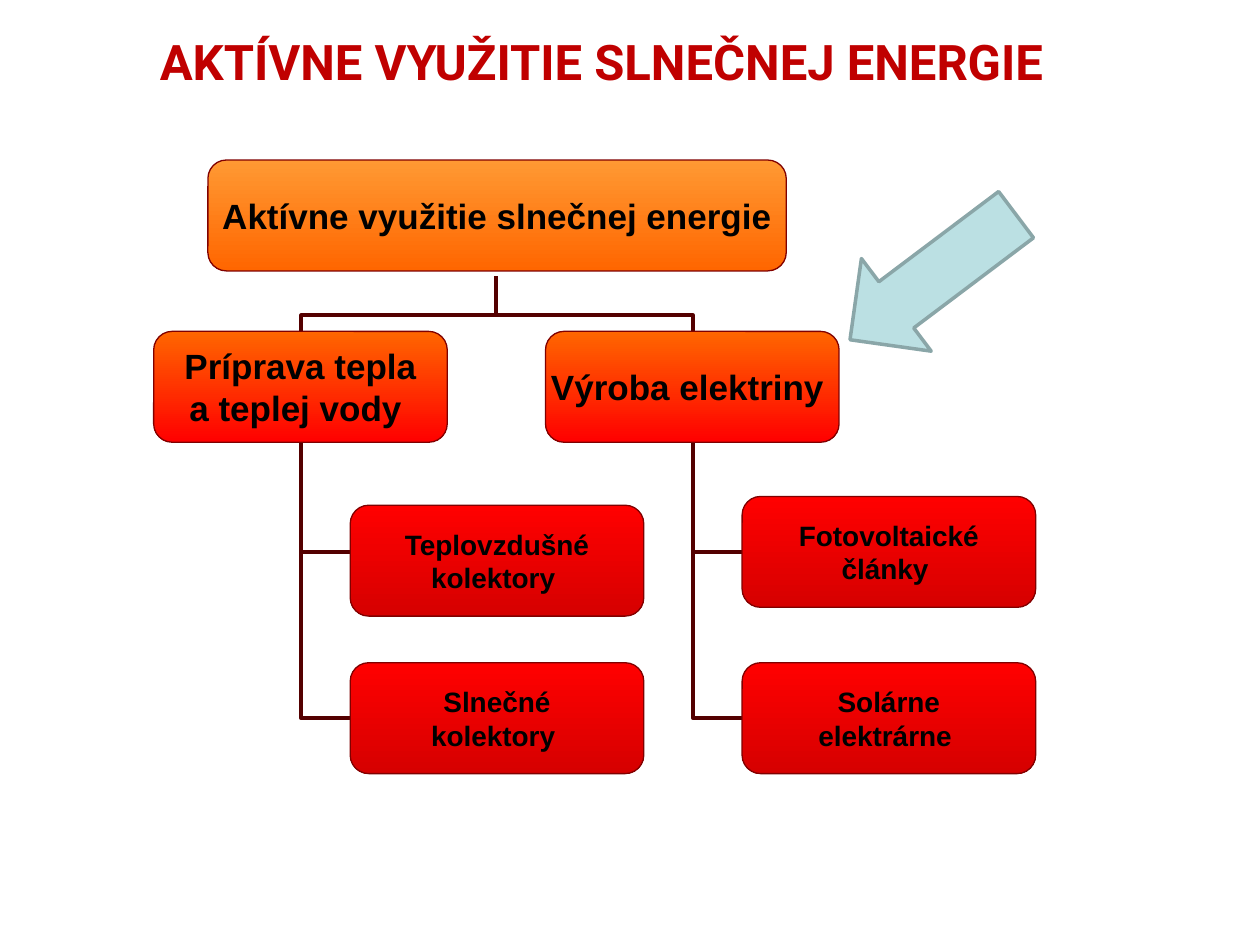
from dataclasses import dataclass

from lxml.etree import SubElement
from pptx import Presentation
from pptx.dml.color import RGBColor
from pptx.enum.shapes import MSO_CONNECTOR, MSO_SHAPE
from pptx.enum.text import MSO_ANCHOR, MSO_AUTO_SIZE, PP_ALIGN
from pptx.oxml.ns import qn
from pptx.util import Inches, Pt

COLORS = {
    "title": "C00000", "text": "000000", "border": "800000", "link": "540000",
    "amber": "FF9933", "orange": "FF6600", "red": "FF0000", "dark_red": "D60000",
    "arrow": "BBE0E3", "arrow_border": "8AA6A8",
}
BOX_W, BOX_H = 2.33, 0.88
BRANCH_TOP, BRANCH_BOTTOM = 2.63, 3.5
ROOT_X, ROOT_BOTTOM = 3.94, 2.19
LEAF_INDENT = 0.39
TRUNKS = (2.39, 5.5)
LEAF_MIDDLES = (4.38, 5.7)


@dataclass
class Box:
    left: float
    top: float
    lines: tuple[str, ...]
    gradient: tuple[str, str]
    size: int = 16
    width: float = BOX_W


@dataclass
class Link:
    begin: tuple[float, float]
    end: tuple[float, float]
    preset: str
    rotation: int
    bend: float | None = None


ROOT = ("amber", "orange")
BRANCH = ("orange", "red")
LEAF = ("red", "dark_red")
LEAF_LEFTS = [x + LEAF_INDENT for x in TRUNKS]
BOXES = [
    Box(1.65, 1.27, ("Aktívne využitie slnečnej energie",), ROOT, 20, 4.59),
    Box(1.22, BRANCH_TOP, ("Príprava tepla", "a teplej vody "), BRANCH, 20),
    Box(4.33, BRANCH_TOP, ("Výroba elektriny ",), BRANCH, 20),
    Box(LEAF_LEFTS[0], 4.01, ("Teplovzdušné", "kolektory "), LEAF),
    Box(LEAF_LEFTS[0], 5.26, ("Slnečné", "kolektory "), LEAF),
    Box(LEAF_LEFTS[1], 3.94, ("Fotovoltaické", "články "), LEAF),
    Box(LEAF_LEFTS[1], 5.26, ("Solárne", "elektrárne "), LEAF),
]


def rgb(name: str) -> RGBColor:
    return RGBColor.from_string(COLORS[name])


def apply(target, values: dict) -> None:
    for name, value in values.items():
        setattr(target, name, value)


def style_font(font, face: str, size: int, color: str) -> None:
    apply(font, {"name": face, "size": Pt(size), "bold": True})
    font.color.rgb = rgb(color)


def style_line(line, color: str, width: float) -> None:
    line.color.rgb = rgb(color)
    line.width = Pt(width)


def add_title(s, text: str) -> None:
    sp = s.shapes.title
    apply(sp, {"left": Inches(0.32), "top": Inches(0.21),
               "width": Inches(9), "height": Inches(0.55)})
    tf = sp.text_frame
    apply(tf, {"vertical_anchor": MSO_ANCHOR.MIDDLE, "auto_size": MSO_AUTO_SIZE.NONE})
    p = tf.paragraphs[0]
    p.alignment = PP_ALIGN.CENTER
    r = p.add_run()
    r.text = text
    style_font(r.font, "Roboto", 28, "title")


def add_box(s, box: Box) -> None:
    sp = s.shapes.add_shape(MSO_SHAPE.ROUNDED_RECTANGLE, Inches(box.left),
                            Inches(box.top), Inches(box.width), Inches(BOX_H))
    sp.shadow.inherit = False
    sp.fill.gradient()
    sp.fill.gradient_angle = 270
    for stop, color, position in zip(sp.fill.gradient_stops, box.gradient, (0, 1)):
        stop.color.rgb = rgb(color)
        stop.position = position
    style_line(sp.line, "border", 0.75)
    tf = sp.text_frame
    apply(tf, {"margin_left": 0, "margin_right": 0, "margin_top": 0,
               "margin_bottom": 0, "word_wrap": False,
               "vertical_anchor": MSO_ANCHOR.MIDDLE})
    for i, text in enumerate(box.lines):
        p = tf.add_paragraph() if i else tf.paragraphs[0]
        p.alignment = PP_ALIGN.CENTER
        r = p.add_run()
        r.text = text
        style_font(r.font, "Arial", box.size, "text")


def add_link(s, link: Link) -> None:
    sp = s.shapes.add_connector(MSO_CONNECTOR.ELBOW,
                                *map(Inches, link.begin + link.end))
    style_line(sp.line, "link", 2.25)
    props = sp._element.spPr
    props.find(qn("a:xfrm")).set("rot", str(link.rotation * 60000))
    geometry = props.find(qn("a:prstGeom"))
    geometry.set("prst", link.preset)
    if link.bend is not None:
        guides = geometry.find(qn("a:avLst"))
        SubElement(guides, qn("a:gd"), name="adj1", fmla=f"val {link.bend * 100000:.0f}")
    SubElement(props, qn("a:effectLst"))


def root_link(trunk: float) -> Link:
    drop, span = BRANCH_TOP - ROOT_BOTTOM, abs(trunk - ROOT_X)
    center_x, center_y = (trunk + ROOT_X) / 2, (BRANCH_TOP + ROOT_BOTTOM) / 2
    side = 1 if trunk > ROOT_X else -1
    begin = (center_x + side * drop / 2, center_y - span / 2)
    end = (center_x - side * drop / 2, center_y + span / 2)
    return Link(begin, end, "bentConnector3", 90 if side > 0 else 270, 0.29)


def leaf_link(trunk: float, middle: float) -> Link:
    return Link((trunk, BRANCH_BOTTOM), (trunk + LEAF_INDENT, middle),
                "bentConnector2", 180)


def add_arrow(s) -> None:
    sp = s.shapes.add_shape(MSO_SHAPE.RIGHT_ARROW, Inches(6.58), Inches(1.74),
                            Inches(1.65), Inches(0.92))
    sp.rotation = 143
    sp.shadow.inherit = False
    sp.fill.solid()
    sp.fill.fore_color.rgb = rgb("arrow")
    style_line(sp.line, "arrow_border", 2)


def main() -> None:
    prs = Presentation()
    apply(prs, {"slide_width": Inches(10), "slide_height": Inches(7.5)})
    s = prs.slides.add_slide(prs.slide_layouts[5])
    add_title(s, "AKTÍVNE VYUŽITIE SLNEČNEJ ENERGIE ")
    for trunk in TRUNKS:
        add_link(s, root_link(trunk))
        for middle in LEAF_MIDDLES:
            add_link(s, leaf_link(trunk, middle))
    for box in BOXES:
        add_box(s, box)
    add_arrow(s)
    prs.save("out.pptx")


if __name__ == "__main__":
    main()
